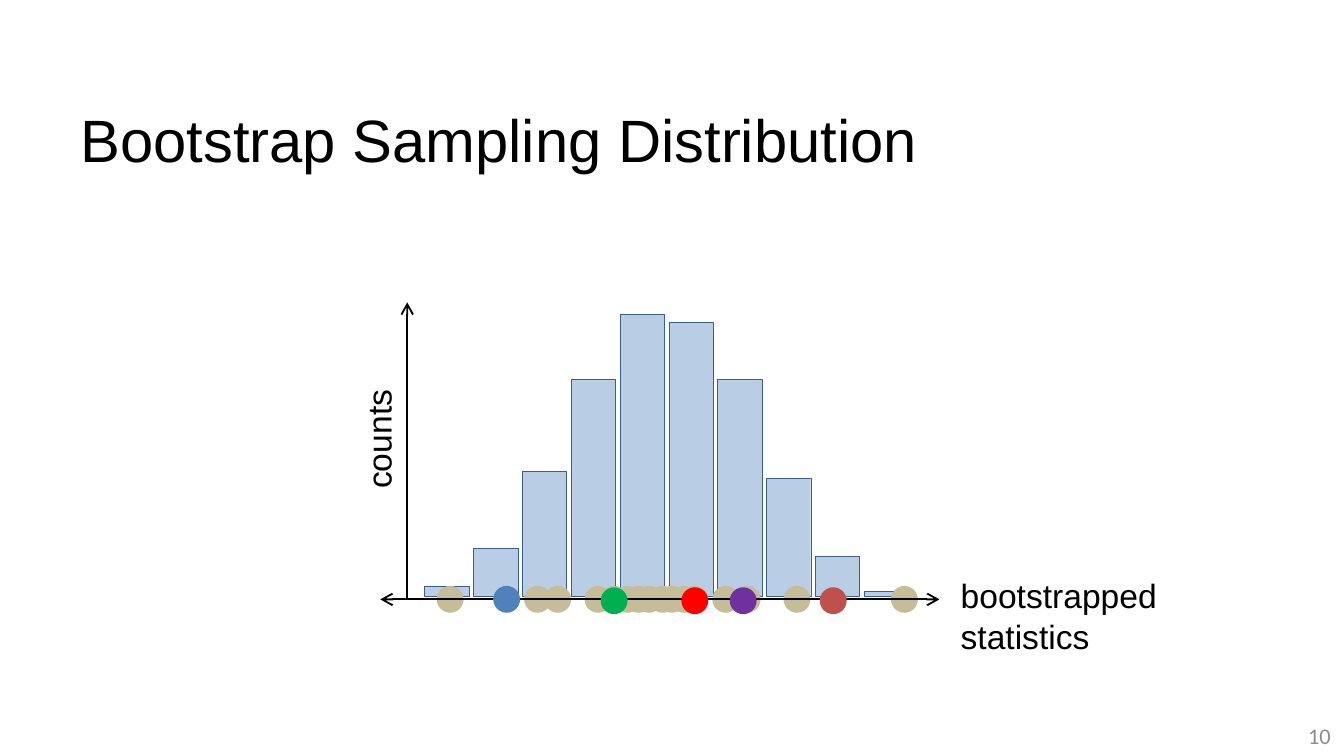
import pptx
import pptx.util
import pptx.dml.color
import pptx.enum.shapes
import pptx.enum.text
import pptx.oxml
import pptx.oxml.ns

Inches = pptx.util.Inches
Pt = pptx.util.Pt
SHAPE = pptx.enum.shapes.MSO_SHAPE
ALIGN = pptx.enum.text.PP_ALIGN
ANCHOR = pptx.enum.text.MSO_ANCHOR
rgb = pptx.dml.color.RGBColor.from_string

prs = pptx.Presentation()
prs.slide_width = Inches(10)
prs.slide_height = Inches(10) * 9 // 16
slide = prs.slides.add_slide(prs.slide_layouts[5])
shapes = slide.shapes


def format_text(frame, size, font, color, align=ALIGN.LEFT):
    for paragraph in frame.paragraphs:
        paragraph.alignment = align
        for run in paragraph.runs:
            run.font.size = Pt(size)
            run.font.name = font
            run.font.color.rgb = rgb(color)


def add_filled(kind, left, top, width, height, fill, outline=None):
    """Add a flat preset shape, with a hairline outline if a colour is given."""
    shape = shapes.add_shape(kind, Inches(left), Inches(top), Inches(width), Inches(height))
    shape.shadow.inherit = False
    shape.fill.solid()
    shape.fill.fore_color.rgb = rgb(fill)
    if outline:
        shape.line.color.rgb = rgb(outline)
        shape.line.width = Pt(0.25)
    else:
        shape.line.fill.background()


# Title and page number
title = shapes.title
title.left, title.top, title.width, title.height = Inches(0.5), Inches(0.56), Inches(9), Inches(0.94)
title.text_frame.text = "Bootstrap Sampling Distribution"
title.text_frame.vertical_anchor = ANCHOR.MIDDLE
format_text(title.text_frame, 32, "Arial", "000000")

page_number = shapes.add_textbox(Inches(7.75), Inches(5.32), Inches(2.25), Inches(0.3))
page_number.text_frame.text = "10"
page_number.text_frame.word_wrap = True
page_number.text_frame.vertical_anchor = ANCHOR.MIDDLE
format_text(page_number.text_frame, 12, "Calibri", "8C8C8C", ALIGN.RIGHT)

# Histogram bars stand on a common base at an equal pitch
bar_heights = [0.08, 0.36, 0.93, 1.62, 2.1, 2.04, 1.62, 0.88, 0.3, 0.04]
bar_base, first_bar, last_bar, bar_width = 4.44, 3.16, 6.43, 0.33
bar_pitch = (last_bar - first_bar) / (len(bar_heights) - 1)
for i, height in enumerate(bar_heights):
    add_filled(SHAPE.RECTANGLE, first_bar + i * bar_pitch, bar_base - height,
               bar_width, height, "B9CDE5", "3A5F8C")

# Axis labels
for label, left, top, width, height, rotation in [
    ("counts", 2.34, 3.06, 0.95, 0.4, 270),
    ("bootstrapped\nstatistics", 7.05, 4.23, 1.67, 0.71, 0),
]:
    axis_label = shapes.add_textbox(Inches(left), Inches(top), Inches(width), Inches(height))
    axis_label.rotation = rotation
    axis_label.text_frame.text = label
    axis_label.text_frame.word_wrap = False
    axis_label.text_frame.auto_size = pptx.enum.text.MSO_AUTO_SIZE.SHAPE_TO_FIT_TEXT
    format_text(axis_label.text_frame, 18, "Arial", "000000")

# Bootstrapped statistics, behind the horizontal axis
dot_size = 0.2
for left in [3.9, 4.05, 4.35, 4.57, 4.47, 4.73, 4.65, 4.83, 4.9, 4.99,
             5.07, 5.3, 5.46, 5.83, 6.63, 3.25]:
    add_filled(SHAPE.OVAL, left, 4.36, dot_size, dot_size, "C4BD97")

# Axes
axis_y = 4.46
for x1, y1, x2, y2, arrow_ends in [
    (3.03, axis_y, 3.03, 2.25, ["tailEnd"]),
    (2.83, axis_y, 6.99, axis_y, ["headEnd", "tailEnd"]),
]:
    axis = shapes.add_connector(pptx.enum.shapes.MSO_CONNECTOR.STRAIGHT,
                                Inches(x1), Inches(y1), Inches(x2), Inches(y2))
    axis.line.color.rgb = rgb("000000")
    axis.line.width = Pt(1)
    properties = axis._element.spPr
    outline = properties.find(pptx.oxml.ns.qn("a:ln"))
    for end in arrow_ends:
        outline.append(pptx.oxml.parse_xml(f'<a:{end} {pptx.oxml.ns.nsdecls("a")} type="arrow"/>'))
    properties.append(pptx.oxml.parse_xml(f'<a:effectLst {pptx.oxml.ns.nsdecls("a")}/>'))

# Highlighted statistics, in front of the axis
for left, top, color in [(4.47, 4.37, "00B050"), (5.43, 4.37, "7030A0"), (5.07, 4.37, "FF0000"),
                         (3.67, 4.36, "4F81BD"), (6.1, 4.37, "C0504D")]:
    add_filled(SHAPE.OVAL, left, top, dot_size, dot_size, color)

prs.save("out.pptx")
